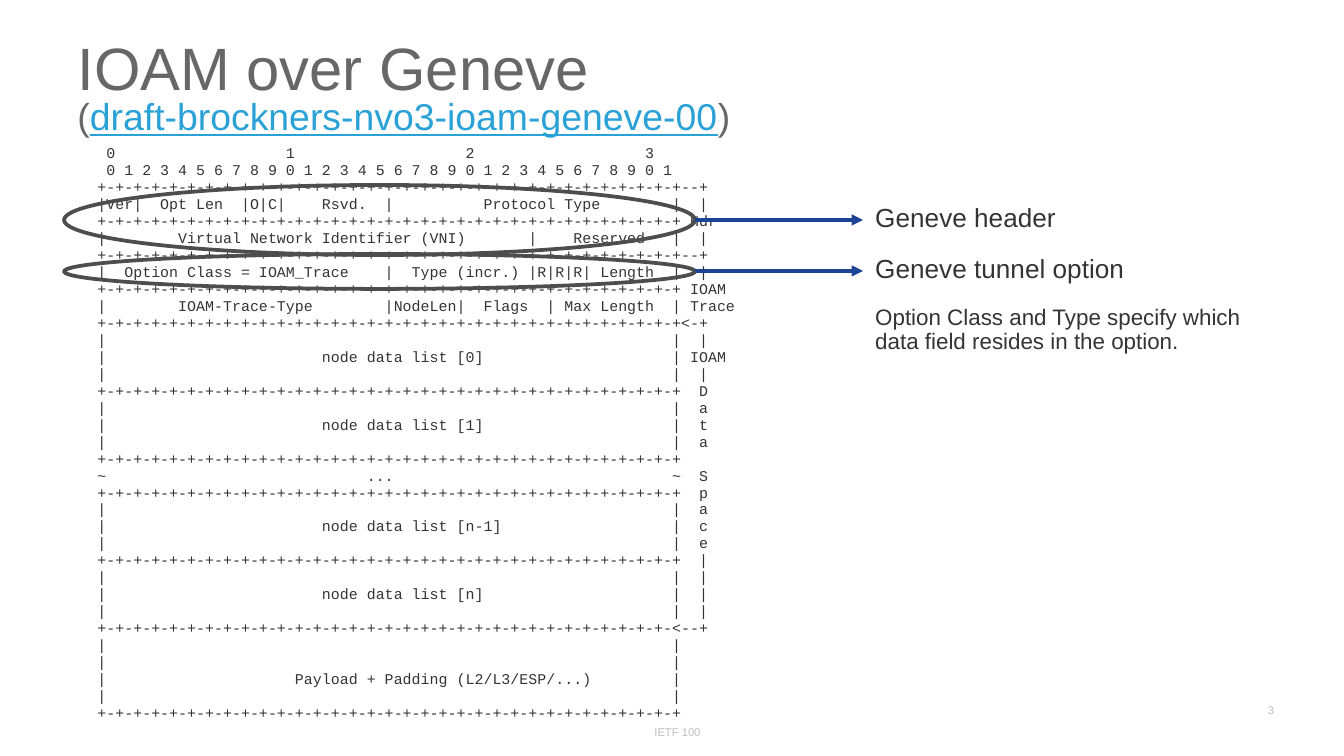
from lxml import etree
from pptx import Presentation
from pptx.dml.color import RGBColor
from pptx.enum import shapes, text
from pptx.oxml.ns import qn
from pptx.util import Pt

PX = 914400 / 134.4
HUE = {"title": "676767", "body": "343434", "link": "2BA2D7",
       "ring": "4D4D4D", "arrow": "1D4494", "foot": "BFBFBF"}
LEFT, MID, RIGHT = text.PP_ALIGN.LEFT, text.PP_ALIGN.CENTER, text.PP_ALIGN.RIGHT


def px(*vals):
    return [round(v * PX) for v in vals]


def write(par, words, size=14, hue="body", font="Arial", line=1.0,
          before=0, align=LEFT, under=None):
    par.alignment, par.line_spacing = align, line
    par.space_before, par.space_after = Pt(before), Pt(0)
    run = par.add_run()
    run.text = words
    run.font.size, run.font.name, run.font.underline = Pt(size), font, under
    run.font.color.rgb = RGBColor.from_string(HUE[hue])


prs = Presentation()
prs.slide_width, prs.slide_height = px(1344, 756)
slide = prs.slides.add_slide(prs.slide_layouts[1])
title, body = slide.placeholders

# Slide number and footer
for words, box, align in [("3", (1251, 698, 32, 23), RIGHT),
                          ("IETF 100", (482, 720, 391, 23), MID)]:
    frame = slide.shapes.add_textbox(*px(*box)).text_frame
    frame.word_wrap = align == MID
    frame.vertical_anchor = text.MSO_ANCHOR.BOTTOM
    frame.margin_left, frame.margin_right = px(9, 9)
    frame.margin_top, frame.margin_bottom = px(4, 4)
    write(frame.paragraphs[0], words, size=6, hue="foot", align=align)

# Title
title.left, title.top, title.width, title.height = px(64, 38, 1227, 107)
frame = title.text_frame
frame.auto_size = text.MSO_AUTO_SIZE.NONE
frame.vertical_anchor = text.MSO_ANCHOR.MIDDLE
par = frame.paragraphs[0]
write(par, "IOAM over Geneve ", size=32, hue="title", line=0.8)
par.add_line_break()
etree.SubElement(par._p[-1], qn("a:rPr"), sz="3200")
write(par, "(", size=20, hue="title", line=0.8)
write(par, "draft-brockners-nvo3-ioam-geneve-00", size=20, hue="link",
      line=0.8, under=True)
write(par, ")", size=20, hue="title", line=0.8)

# Packet layout: 32 bits wide, with side notes on the right
RULE = "+-" * 32 + "+"


def bar(words="", note="", edge="|"):
    return f"{edge}{words:<63}{edge}{note}"


def node(name, notes):
    cells = ["", " " * 24 + f"node data list [{name}]", ""]
    return [bar(c, "  " + n) for c, n in zip(cells, notes)]


rows = [
    " " + "".join(f"{n:<20}" for n in range(4)).rstrip(),
    " " + " ".join(str(n % 10) for n in range(32)),
    RULE + "--+",
    bar("Ver|  Opt Len  |O|C|    Rsvd.  |          Protocol Type", "  |"),
    RULE + " Hdr",
    bar("        Virtual Network Identifier (VNI)       |    Reserved", "  |"),
    RULE + "--+",
    bar("  Option Class = IOAM_Trace    |  Type (incr.) |R|R|R| Length", "  |"),
    RULE + " IOAM",
    bar("        IOAM-Trace-Type        |NodeLen|  Flags  | Max Length", " Trace"),
    RULE + "<-+",
    bar(note="  |"),
    bar(" " * 24 + "node data list [0]", " IOAM"),
    bar(note="  |"),
    RULE + "  D",
    *node("1", "ata"),
    RULE,
    bar(" " * 29 + "...", "  S", "~"),
    RULE + "  p",
    *node("n-1", "ace"),
    RULE + "  |",
    *node("n", "|||"),
    RULE[:-1] + "<--+",
    bar(), bar(),
    bar(" " * 21 + "Payload + Padding (L2/L3/ESP/...)"),
    bar(),
    RULE,
]
body.left, body.top, body.width, body.height = px(75, 138, 692, 625)
frame = body.text_frame
frame.auto_size = text.MSO_AUTO_SIZE.NONE
for i, row in enumerate(rows):
    par = frame.add_paragraph() if i else frame.paragraphs[0]
    write(par, " " + row, size=8, font="Courier New", line=0.95)
    props = par._p.get_or_add_pPr()
    props.set("marL", "0")
    props.set("indent", "0")
    etree.SubElement(props, qn("a:buNone"))

# Rings, arrows and their labels
NOTE = "Option Class and Type specify which data field resides in the option."
for top, high, wide, labels in [
        (185, 70, 270, [("Geneve header", 14)]),
        (254, 35, 409, [("Geneve tunnel option", 14), (NOTE, 12)])]:
    ring = slide.shapes.add_shape(shapes.MSO_SHAPE.OVAL, *px(64, top, 631, high))
    ring.shadow.inherit = False
    ring.fill.background()
    ring.line.color.rgb = RGBColor.from_string(HUE["ring"])
    ring.line.width = Pt(2)

    y = top + high // 2
    arrow = slide.shapes.add_connector(shapes.MSO_CONNECTOR.STRAIGHT,
                                       *px(695, y, 863, y))
    arrow.line.color.rgb = RGBColor.from_string(HUE["arrow"])
    arrow.line.width = Pt(2)
    etree.SubElement(arrow.line._get_or_add_ln(), qn("a:tailEnd"), type="triangle")
    etree.SubElement(arrow._element.spPr, qn("a:effectLst"))

    frame = slide.shapes.add_textbox(*px(862, y - 22, wide, 54)).text_frame
    frame.word_wrap = True
    for i, (words, size) in enumerate(labels):
        par = frame.add_paragraph() if i else frame.paragraphs[0]
        write(par, words, size=size, line=0.9, before=12)

prs.save("out.pptx")
